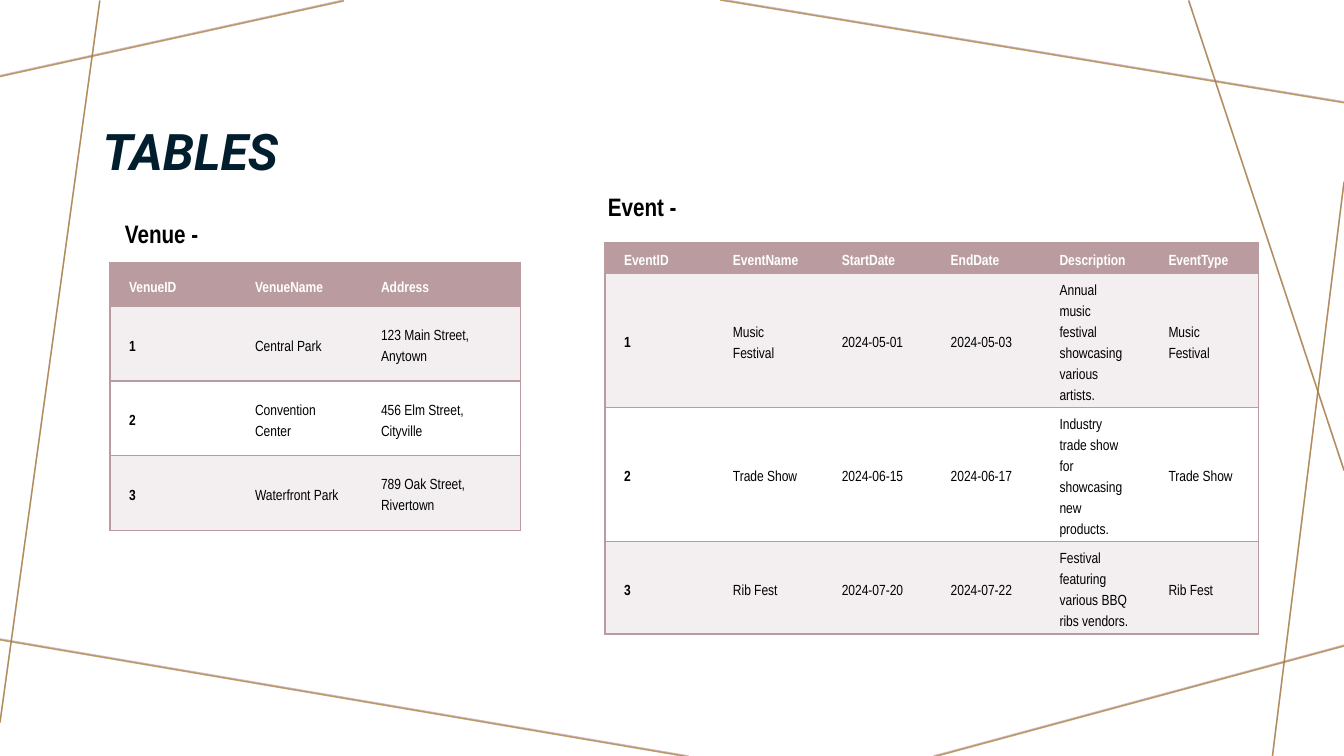
from dataclasses import dataclass

from lxml import etree
from pptx import Presentation
from pptx import util as u
from pptx.dml.color import RGBColor
from pptx.enum import shapes, text
from pptx.oxml.ns import qn

PX = 9144  # EMU in one px, 100 px to the inch


@dataclass(frozen=True)
class Theme:
    white: str = "FFFFFF"
    black: str = "000000"
    navy: str = "001E2E"
    rose: str = "BA9CA0"
    blush: str = "F3EFF0"
    gold: str = "A57931"
    title_font: str = "Roboto"
    body_font: str = "Arial Narrow"
    title_size: float = 36
    caption_size: float = 18
    cell_size: float = 10.5
    cell_leading: float = 15
    line_width: float = 1
    line_alpha: int = 70


THEME = Theme()

# Each ray of the frame: x1, y1, x2, y2
RAYS = [
    (341, 0, 0, 75),
    (99, 0, 0, 716),
    (683, 750, -5, 633),
    (1333, 640, 926, 750),
    (1333, 180, 1262, 750),
    (1333, 466, 1179, 0),
    (1333, 101, 714, -1),
]

VENUES = [
    ["VenueID", "VenueName", "Address"],
    ["1", "Central Park", "123 Main Street, Anytown"],
    ["2", "Convention Center", "456 Elm Street, Cityville"],
    ["3", "Waterfront Park", "789 Oak Street, Rivertown"],
]

EVENTS = [
    ["EventID", "EventName", "StartDate", "EndDate", "Description", "EventType"],
    ["1", "Music Festival", "2024-05-01", "2024-05-03",
     "Annual music festival showcasing various artists.", "Music Festival"],
    ["2", "Trade Show", "2024-06-15", "2024-06-17",
     "Industry trade show for showcasing new products.", "Trade Show"],
    ["3", "Rib Fest", "2024-07-20", "2024-07-22",
     "Festival featuring various BBQ ribs vendors.", "Rib Fest"],
]


def emu(*lengths):
    return [u.Emu(length * PX) for length in lengths]


def set_font(paragraph, face, size, color, bold=True, italic=False):
    font = paragraph.font
    font.name, font.size = face, u.Pt(size)
    font.bold, font.italic = bold, italic
    font.color.rgb = RGBColor.from_string(color)


def add_rays(slide, color, drop):
    """Draw the frame of crossing lines, moved down by drop."""
    for x1, y1, x2, y2 in RAYS:
        ray = slide.shapes.add_connector(
            shapes.MSO_CONNECTOR.STRAIGHT, *emu(x1, y1 + drop, x2, y2 + drop))
        ray.line.width = u.Pt(THEME.line_width)
        ray.line.color.rgb = RGBColor.from_string(color)
        rgb = ray.line._ln.find(".//" + qn("a:srgbClr"))
        etree.SubElement(rgb, qn("a:alpha"), val=str(THEME.line_alpha * 1000))
        etree.SubElement(ray._element.spPr, qn("a:effectLst"))


def add_text(slide, box, words, anchor=text.MSO_ANCHOR.TOP):
    frame = slide.shapes.add_textbox(*emu(*box)).text_frame
    frame.word_wrap = True
    frame.vertical_anchor = anchor
    paragraph = frame.paragraphs[0]
    paragraph.text = words
    return paragraph


def add_title(slide, box, words):
    title = add_text(slide, box, words, text.MSO_ANCHOR.BOTTOM)
    title.line_spacing = 0.9
    set_font(title, THEME.title_font, THEME.title_size, THEME.navy, italic=True)


def add_caption(slide, box, words):
    caption = add_text(slide, box, words)
    set_font(caption, THEME.body_font, THEME.caption_size, THEME.black)


def set_borders(cell, ruled_sides):
    """Rule the given sides of a cell and clear the others."""
    properties = cell._tc.get_or_add_tcPr()
    for place, side in enumerate("LRTB"):
        border = etree.Element(qn("a:ln" + side), w=str(u.Pt(THEME.line_width)))
        if side in ruled_sides:
            fill = etree.SubElement(border, qn("a:solidFill"))
            etree.SubElement(fill, qn("a:srgbClr"), val=THEME.rose)
        else:
            etree.SubElement(border, qn("a:noFill"))
        properties.insert(place, border)


def fill_cell(cell, words, background, color, bold):
    cell.text = words
    cell.vertical_anchor = text.MSO_ANCHOR.MIDDLE
    cell.margin_left, cell.margin_right = emu(19, 19)
    cell.margin_top, cell.margin_bottom = emu(4, 4)
    cell.fill.solid()
    cell.fill.fore_color.rgb = RGBColor.from_string(background)
    paragraph = cell.text_frame.paragraphs[0]
    paragraph.line_spacing = u.Pt(THEME.cell_leading)
    set_font(paragraph, THEME.body_font, THEME.cell_size, color, bold)


def add_records(slide, left, top, widths, heights, records):
    """Place a table with a header row, banded rows and a bold first column."""
    box = emu(left, top, sum(widths), sum(heights))
    table = slide.shapes.add_table(len(heights), len(widths), *box).table
    table.horz_banding = False
    for column, width in zip(table.columns, emu(*widths)):
        column.width = width
    for row, height in zip(table.rows, emu(*heights)):
        row.height = height

    last = len(widths) - 1
    for r, record in enumerate(records):
        header = r == 0
        band = THEME.blush if r % 2 else THEME.white
        for c, words in enumerate(record):
            cell = table.cell(r, c)
            fill_cell(cell, words,
                      THEME.rose if header else band,
                      THEME.white if header else THEME.black,
                      bold=header or c == 0)
            set_borders(cell, "TB" + "L" * (c == 0) + "R" * (c == last))


def build_tables_slide(slide):
    # Frame: rose lines with gold ones just below
    add_rays(slide, THEME.rose, 0)
    add_rays(slide, THEME.gold, 1)

    # Heading
    add_title(slide, (92, 40, 1130, 145), "TABLES")

    # Events
    add_records(slide, 600, 241, [108] * 6, [30, 133, 133, 92], EVENTS)

    # Venues
    add_records(slide, 109, 261, [125, 125, 157], [43, 74, 74, 74], VENUES)

    # Captions above the tables
    add_caption(slide, (114, 212, 159, 40), "Venue -")
    add_caption(slide, (593, 185, 222, 40), "Event -")


def main():
    deck = Presentation()
    deck.slide_width, deck.slide_height = emu(1333, 750)
    build_tables_slide(deck.slides.add_slide(deck.slide_layouts[6]))
    deck.save("out.pptx")


if __name__ == "__main__":
    main()
